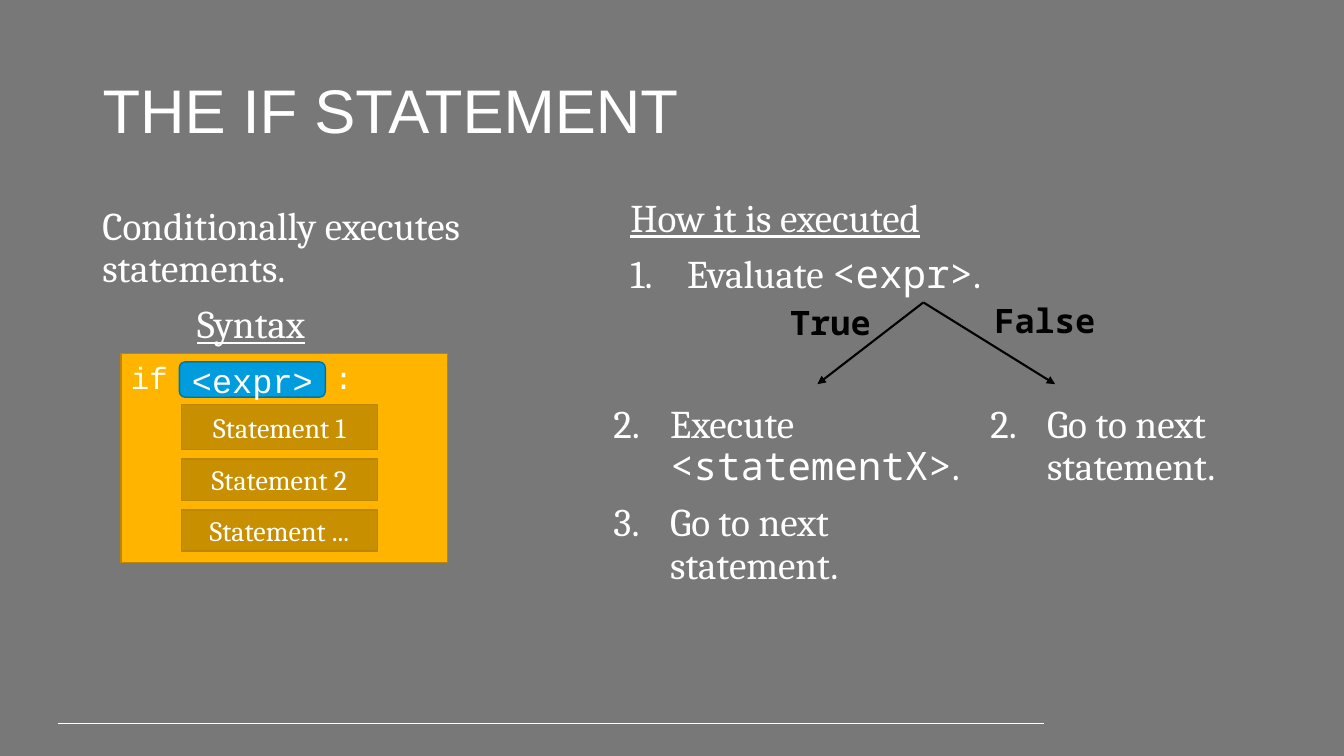
from dataclasses import dataclass
from typing import Any

from lxml.etree import SubElement as Sub
from pptx import Presentation
from pptx.dml.color import RGBColor as Rgb
from pptx.enum.shapes import MSO_CONNECTOR as Link, MSO_SHAPE as Form
from pptx.enum.text import MSO_ANCHOR as Anchor, MSO_AUTO_SIZE as Fit, PP_ALIGN as Align
from pptx.oxml.ns import qn
from pptx.util import Cm, Pt

HUE = {
    "back": "787878", "text": "FFFFFF", "dark": "000000",
    "gold": "FFB500", "edge": "BD8600", "brown": "C88F00",
    "blue": "009CDE", "navy": "0073A4",
}
SERIF, CODE, MONO, HEAD = "Cambria", "Noto Sans Mono", "Courier New", "Arial"


@dataclass
class Run:
    text: str
    face: str = SERIF
    size: float = 28
    hue: str = "text"
    bold: bool = False
    under: bool = False


@dataclass
class Para:
    runs: list[Run]
    num: int = 0
    left: float = 0
    tab: float = 0
    space: float = 0.9
    align: Any = Align.LEFT


@dataclass
class Area:
    left: float
    top: float
    width: float
    height: float

    def cm(self) -> list[int]:
        return [Cm(n) for n in (self.left, self.top, self.width, self.height)]


@dataclass
class Block:
    area: Area
    para: Para
    fill: str
    edge: str
    form: Any = Form.RECTANGLE
    anchor: Any = Anchor.MIDDLE


@dataclass
class Line:
    start: tuple[float, float]
    end: tuple[float, float]
    hue: str
    width: float
    arrow: bool = False


def color(name: str) -> Rgb:
    return Rgb.from_string(HUE[name])


def apply(item: Any, form: dict[str, Any]) -> None:
    for key, value in form.items():
        setattr(item, key, value)


def write(frame: Any, paras: list[Para], anchor: Any = Anchor.TOP) -> None:
    apply(frame, {"word_wrap": True, "auto_size": Fit.NONE, "vertical_anchor": anchor})
    for i, para in enumerate(paras):
        item = frame.add_paragraph() if i else frame.paragraphs[0]
        props = item._p.get_or_add_pPr()
        if para.num:
            props.set("marL", str(Cm(1.43)))
            props.set("indent", str(-Cm(1.43)))
            Sub(props, qn("a:buFont"), typeface=SERIF)
            Sub(props, qn("a:buAutoNum"), type="arabicPeriod", startAt=str(para.num))
        elif para.left:
            props.set("marL", str(Cm(para.left)))
        if para.tab:
            tabs = Sub(props, qn("a:tabLst"))
            Sub(tabs, qn("a:tab"), pos=str(Cm(para.tab)), algn="l")
        apply(item, {"line_spacing": para.space, "alignment": para.align,
                     "space_before": Pt(10 if i else 0)})
        for run in para.runs:
            part = item.add_run()
            part.text = run.text
            apply(part.font, {"name": run.face, "size": Pt(run.size),
                              "bold": run.bold, "underline": run.under})
            part.font.color.rgb = color(run.hue)


def note(slide: Any, area: Area, paras: list[Para]) -> None:
    write(slide.shapes.add_textbox(*area.cm()).text_frame, paras)


def draw(slide: Any, block: Block) -> None:
    shape = slide.shapes.add_shape(block.form, *block.area.cm())
    shape.shadow.inherit = False
    shape.fill.solid()
    shape.fill.fore_color.rgb = color(block.fill)
    shape.line.color.rgb = color(block.edge)
    shape.line.width = Pt(1)
    write(shape.text_frame, [block.para], block.anchor)


def link(slide: Any, line: Line) -> None:
    ends = [Cm(n) for n in (*line.start, *line.end)]
    item = slide.shapes.add_connector(Link.STRAIGHT, *ends)
    item.line.color.rgb = color(line.hue)
    item.line.width = Pt(line.width)
    if line.arrow:
        Sub(item.line._get_or_add_ln(), qn("a:tailEnd"), type="triangle")
    Sub(item._element.spPr, qn("a:effectLst"))


def step(num: int, text: str, code: str = "") -> Para:
    runs = [Run(text)]
    if code:
        runs += [Run(code, CODE), Run(".")]
    return Para(runs, num)


def label(text: str, face: str, size: float) -> Para:
    return Para([Run(text, face, size)], space=1, align=Align.CENTER)


def main() -> None:
    deck = Presentation()
    apply(deck, {"slide_width": Cm(33.87), "slide_height": Cm(19.05)})
    slide = deck.slides.add_slide(deck.slide_layouts[5])
    slide.background.fill.solid()
    slide.background.fill.fore_color.rgb = color("back")

    link(slide, Line((1.45, 18.23), (26.32, 18.23), "text", 0.75))
    title = slide.shapes.title
    apply(title, dict(zip(("left", "top", "width", "height"),
                          Area(2.33, 1.01, 29.21, 3.68).cm())))
    write(title.text_frame, [Para([Run("THE IF STATEMENT", HEAD, 44)])], Anchor.MIDDLE)

    note(slide, Area(2.33, 5.07, 14.12, 12.09), [
        Para([Run("Conditionally executes statements.")]),
        Para([Run("Syntax", under=True)], left=2.39),
    ])
    note(slide, Area(15.64, 4.88, 14.12, 3.05), [
        Para([Run("How it is executed", under=True)]),
        step(1, "Evaluate ", "<expr>"),
    ])
    last = "Go to next statement."
    note(slide, Area(15.21, 10.06, 9.45, 5.89),
         [step(2, "Execute ", "<statementX>"), step(2, last)])
    note(slide, Area(24.71, 10.06, 6.83, 2.69), [step(2, last)])

    for left in (20.6, 26.59):
        link(slide, Line((23.27, 7.62), (left, 9.68), "dark", 1.5, True))
    for text, area in (("True", Area(19.66, 7.49, 2.67, 1.27)),
                       ("False", Area(24.81, 7.44, 3.15, 1.27))):
        note(slide, area, [Para([Run(text, CODE, 24, "dark", True)], space=1)])

    draw(slide, Block(Area(3.05, 8.91, 8.23, 5.26),
                      Para([Run("if\t:", MONO, 22)], tab=5.13, space=1),
                      "gold", "edge", anchor=Anchor.TOP))
    draw(slide, Block(Area(4.52, 9.12, 3.68, 0.89), label("<expr>", MONO, 24),
                      "blue", "navy", Form.ROUNDED_RECTANGLE))
    top = 10.19
    for text, height in (("1", 1.14), ("2", 1.04), ("...", 1.04)):
        draw(slide, Block(Area(4.57, top, 4.95, height),
                          label(f"Statement {text}", SERIF, 20), "brown", "edge"))
        top += height + 0.24

    deck.save("out.pptx")


if __name__ == "__main__":
    main()
